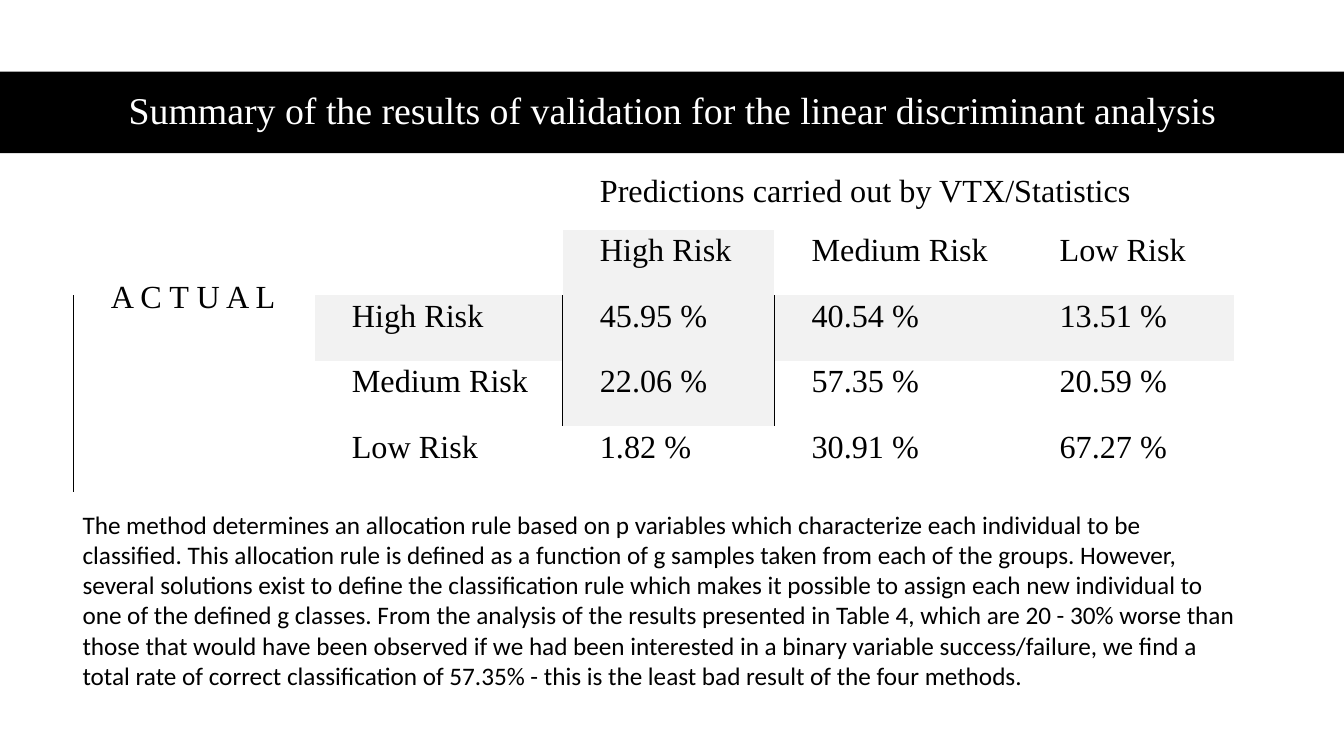
from dataclasses import dataclass

from lxml import etree
from pptx import Presentation
from pptx import util as u
from pptx.dml.color import RGBColor
from pptx.enum import shapes, text
from pptx.oxml.ns import qn


@dataclass(frozen=True)
class Theme:
    ink: str = "000000"
    paper: str = "FFFFFF"
    shade: str = "F2F2F2"
    serif: str = "Times New Roman"
    sans: str = "Calibri"
    title_size: float = 27
    table_size: float = 23
    body_size: float = 18
    space_before: float = 5.7
    rule_width: float = 0.75


@dataclass(frozen=True)
class CellLook:
    words: str = ""
    shaded: bool = False
    border: str = ""
    right_inset: float = 0.03
    bottom: bool = False
    line_points: float = 0


THEME = Theme()
NO_STYLE = "{2D5ABB26-0587-4C30-8999-92F81FD0307C}"
RISKS = ("High Risk", "Medium Risk", "Low Risk")
RATES = (
    ("45.95 %", "40.54 %", "13.51 %"),
    ("22.06 %", "57.35 %", "20.59 %"),
    ("1.82 %", "30.91 %", "67.27 %"),
)
COLUMN_WIDTHS = (2.39, 2.46, 2.1, 2.46, 2.1)
ROW_HEIGHT = 0.65
BODY = (
    "The method determines an allocation rule based on p variables which "
    "characterize each individual to be classified. This allocation rule is "
    "defined as a function of g samples taken from each of the groups. However, "
    "several solutions exist to define the classification rule which makes it "
    "possible to assign each new individual to one of the defined g classes. "
    "From the analysis of the results presented in Table 4, which are 20 - 30% "
    "worse than those that would have been observed if we had been interested in "
    "a binary variable success/failure, we find a total rate of correct "
    "classification of 57.35% - this is the least bad result of the four methods."
)


def add_run(paragraph, words: str, size: float, font: str, color: str) -> None:
    run = paragraph.add_run()
    run.text = words
    run.font.size = u.Pt(size)
    run.font.name = font
    run.font.color.rgb = RGBColor.from_string(color)


def add_border(cell, side: str) -> None:
    line = etree.Element(qn(f"a:ln{side}"), w=str(u.Pt(THEME.rule_width)))
    fill = etree.SubElement(line, qn("a:solidFill"))
    etree.SubElement(fill, qn("a:srgbClr"), val=THEME.ink)
    cell._tc.get_or_add_tcPr().insert(0, line)


def format_cell(cell, look: CellLook) -> None:
    if look.shaded:
        cell.fill.solid()
        cell.fill.fore_color.rgb = RGBColor.from_string(THEME.shade)
    else:
        cell.fill.background()
    if look.border:
        add_border(cell, look.border)
    if not look.words:
        return
    cell.margin_left, cell.margin_top = u.Inches(0.1), u.Inches(0.03)
    cell.margin_right, cell.margin_bottom = u.Inches(look.right_inset), u.Inches(0.2)
    cell.vertical_anchor = text.MSO_ANCHOR.BOTTOM if look.bottom else text.MSO_ANCHOR.TOP
    paragraph = cell.text_frame.paragraphs[0]
    paragraph.space_before = u.Pt(THEME.space_before)
    if look.line_points:
        paragraph.line_spacing = u.Pt(look.line_points)
    properties = paragraph._p.get_or_add_pPr()
    properties.set("marL", str(u.Inches(0.27)))
    properties.set("indent", "0")
    add_run(paragraph, look.words, THEME.table_size, THEME.serif, THEME.ink)


def table_looks() -> dict[tuple[int, int], CellLook]:
    looks = {
        (0, 2): CellLook("Predictions carried out by VTX/Statistics", right_inset=0.25, bottom=True),
        (2, 0): CellLook("A C T U A L", border="L", right_inset=0.25, line_points=12),
    }
    for index, risk in enumerate(RISKS):
        first, ruled = index == 0, index < 2
        looks[1, index + 2] = CellLook(risk, shaded=first)
        looks[index + 2, 1] = CellLook(risk, shaded=first, border="R" if ruled else "")
        for column, rate in enumerate(RATES[index]):
            looks[index + 2, column + 2] = CellLook(
                rate,
                shaded=first or (column == 0 and ruled),
                border="L" if column == 0 and ruled else "",
            )
    return looks


def add_results_table(slide) -> None:
    frame = slide.shapes.add_table(
        5, 5, u.Inches(0.73), u.Inches(1.63), u.Inches(sum(COLUMN_WIDTHS)), u.Inches(5 * ROW_HEIGHT)
    )
    table = frame.table
    table.first_row = table.horz_banding = False
    table._tbl.tblPr.find(qn("a:tableStyleId")).text = NO_STYLE
    for column, width in zip(table.columns, COLUMN_WIDTHS):
        column.width = u.Inches(width)
    for row in table.rows:
        row.height = u.Inches(ROW_HEIGHT)
    for start, end in (((0, 0), (1, 1)), ((0, 2), (0, 4)), ((2, 0), (4, 0))):
        table.cell(*start).merge(table.cell(*end))
    looks = table_looks()
    for row in range(5):
        for column in range(5):
            format_cell(table.cell(row, column), looks.get((row, column), CellLook()))


def add_title(slide) -> None:
    title = slide.shapes.title
    title.left, title.top = u.Inches(0.92), u.Inches(0.71)
    title.width, title.height = u.Inches(11.5), u.Inches(0.81)
    title.text_frame.vertical_anchor = text.MSO_ANCHOR.MIDDLE
    paragraph = title.text_frame.paragraphs[0]
    paragraph.alignment = text.PP_ALIGN.CENTER
    paragraph.line_spacing = 0.9
    words = "Summary of the results of validation for the linear discriminant analysis"
    add_run(paragraph, words, THEME.title_size, THEME.serif, THEME.paper)

    band = slide.shapes.add_shape(
        shapes.MSO_SHAPE.RECTANGLE, 0, title.top, u.Inches(13.33), title.height
    )
    band.shadow.inherit = False
    band.fill.solid()
    band.fill.fore_color.rgb = RGBColor.from_string(THEME.ink)
    band.line.fill.background()
    title.element.addprevious(band.element)


def add_body(slide) -> None:
    box = slide.shapes.add_textbox(u.Inches(0.72), u.Inches(5), u.Inches(11.69), u.Inches(1.92))
    box.text_frame.word_wrap = True
    box.text_frame.auto_size = text.MSO_AUTO_SIZE.SHAPE_TO_FIT_TEXT
    add_run(box.text_frame.paragraphs[0], BODY, THEME.body_size, THEME.sans, THEME.ink)


presentation = Presentation()
presentation.slide_width = u.Inches(13.33)
presentation.slide_height = u.Inches(7.5)
slide = presentation.slides.add_slide(presentation.slide_layouts.get_by_name("Title Only"))
add_title(slide)
add_results_table(slide)
add_body(slide)
presentation.save("out.pptx")
